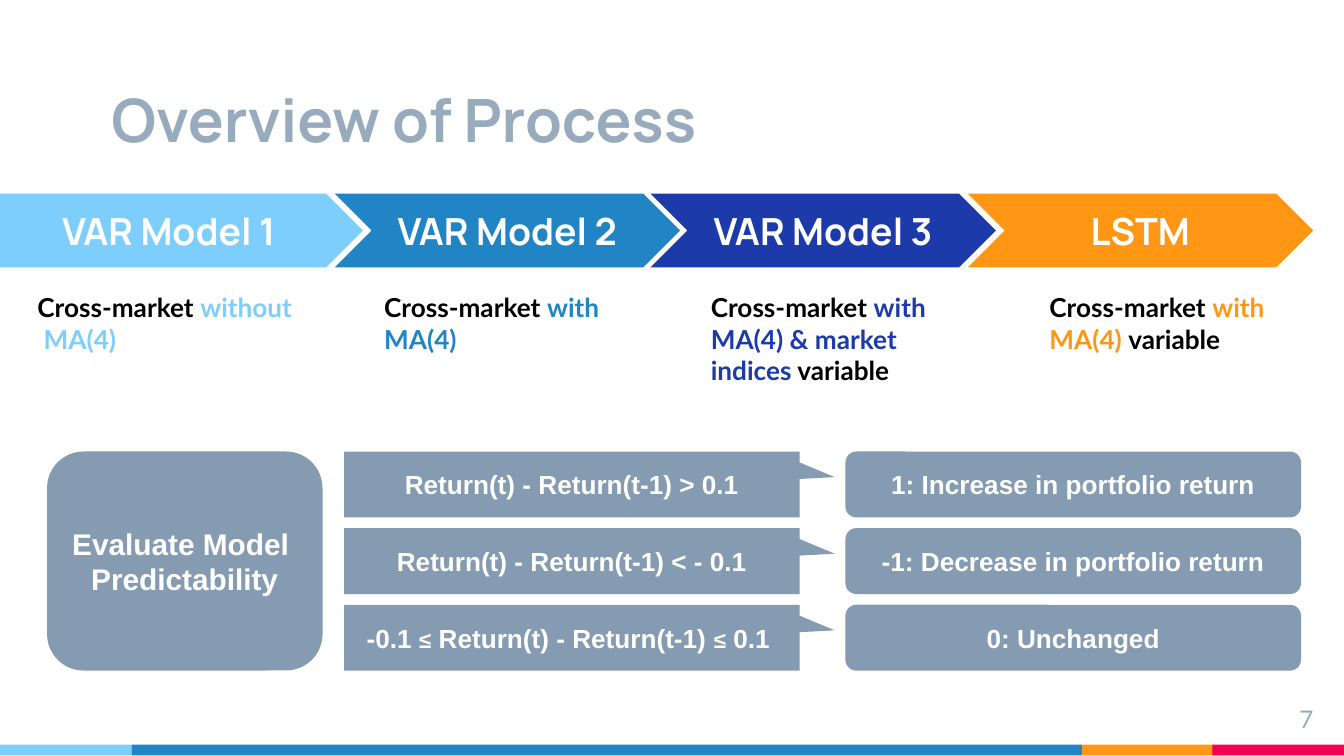
from dataclasses import dataclass

import pptx
import pptx.dml.color
import pptx.enum.shapes
import pptx.enum.text
import pptx.util

Inches = pptx.util.Inches
Pt = pptx.util.Pt
Shapes = pptx.enum.shapes.MSO_SHAPE
Align = pptx.enum.text.PP_ALIGN
Anchor = pptx.enum.text.MSO_ANCHOR

COLORS = {
    "sky": "7ECEFD",
    "blue": "2185C5",
    "navy": "1C3AA9",
    "orange": "FF9715",
    "red": "F20253",
    "slate": "849BB1",
    "gray": "97ABBC",
    "black": "000000",
    "white": "FFFFFF",
}


@dataclass
class Box:
    left: float
    top: float
    width: float
    height: float

    def lengths(self) -> list:
        return [Inches(value) for value in (self.left, self.top, self.width, self.height)]


@dataclass
class Style:
    font: str
    size: int
    color: str
    bold: bool = True
    align: Align = Align.CENTER
    anchor: Anchor = Anchor.MIDDLE


@dataclass
class Stage:
    title: str
    color: str
    arrow_left: float
    arrow_width: float
    note_left: float
    note_width: float
    emphasis: str
    ending: str = ""


@dataclass
class Rule:
    condition: str
    outcome: str


STAGES = [
    Stage("VAR Model 1", "sky", -0.05, 2.75, 0.18, 2.14, "without\n MA(4)"),
    Stage("VAR Model 2", "blue", 2.49, 2.57, 2.76, 1.88, "with \nMA(4)"),
    Stage("VAR Model 3", "navy", 4.84, 2.57, 5.19, 1.85,
          "with \nMA(4) & market indices", " variable"),
    Stage("LSTM", "orange", 7.2, 2.57, 7.71, 1.85, "with \nMA(4) ", "variable"),
]
RULES = [
    Rule("Return(t) - Return(t-1) > 0.1", "1: Increase in portfolio return"),
    Rule("Return(t) - Return(t-1) < - 0.1", "-1: Decrease in portfolio return"),
    Rule("-0.1 ≤ Return(t) - Return(t-1) ≤ 0.1 ", "0: Unchanged"),
]
FOOTER = [("sky", 0, 0.98), ("blue", 0.98, 7.07), ("orange", 8.05, 0.98), ("red", 9.02, 0.98)]

TITLE = Style("Manrope", 32, "gray", align=Align.LEFT, anchor=Anchor.BOTTOM)
ARROW = Style("Manrope", 20, "white")
NOTE = Style("Lato", 14, "black", align=Align.LEFT, anchor=Anchor.TOP)
EVALUATION = Style("Arial", 16, "white")
RULE = Style("Arial", 14, "white")
NUMBER = Style("Lato", 13, "gray", False, Align.RIGHT, Anchor.TOP)


def rgb(name: str) -> pptx.dml.color.RGBColor:
    return pptx.dml.color.RGBColor.from_string(COLORS[name])


def style_text(shape, style: Style) -> None:
    frame = shape.text_frame
    frame.word_wrap = True
    frame.vertical_anchor = style.anchor
    frame.margin_left = frame.margin_right = Inches(0.1)
    frame.margin_top = frame.margin_bottom = Inches(0.1)
    for paragraph in frame.paragraphs:
        paragraph.alignment = style.align
        paragraph.font.name = style.font
        paragraph.font.size = Pt(style.size)
        paragraph.font.bold = style.bold
        paragraph.font.color.rgb = rgb(style.color)


def add_block(slide, kind: Shapes, box: Box, color: str, adjustments: tuple = ()):
    shape = slide.shapes.add_shape(kind, *box.lengths())
    shape.shadow.inherit = False
    shape.fill.solid()
    shape.fill.fore_color.rgb = rgb(color)
    shape.line.fill.background()
    for index, value in enumerate(adjustments):
        shape.adjustments[index] = value
    return shape


def add_label(slide, box: Box, text: str, style: Style) -> None:
    shape = slide.shapes.add_textbox(*box.lengths())
    shape.text_frame.text = text
    style_text(shape, style)


def add_text_block(slide, kind: Shapes, box: Box, color: str, text: str, style: Style,
                   adjustments: tuple = ()):
    shape = add_block(slide, kind, box, color, adjustments)
    shape.text_frame.text = text
    style_text(shape, style)
    return shape


def add_note(slide, stage: Stage) -> None:
    shape = slide.shapes.add_textbox(*Box(stage.note_left, 2.07, stage.note_width, 1.13).lengths())
    paragraph = shape.text_frame.paragraphs[0]
    paragraph.space_before = Pt(8)
    paragraph.space_after = Pt(12)
    paragraph.add_run().text = "Cross-market "
    for index, line in enumerate(stage.emphasis.split("\n")):
        if index:
            paragraph.add_line_break()
        run = paragraph.add_run()
        run.text = line
        run.font.color.rgb = rgb(stage.color)
    if stage.ending:
        paragraph.add_run().text = stage.ending
    style_text(shape, NOTE)


def add_rule(slide, rule: Rule, top: float) -> None:
    callout = add_text_block(slide, Shapes.ROUNDED_RECTANGULAR_CALLOUT, Box(2.56, top, 3.39, 0.49),
                             "slate", "", RULE, (0.577, -0.112, 0))
    paragraph = callout.text_frame.paragraphs[0]
    for index, part in enumerate(rule.condition.split("≤")):
        if index:
            sign = paragraph.add_run()
            sign.text = "≤"
            sign.font.size = Pt(12)
        paragraph.add_run().text = part
    add_text_block(slide, Shapes.ROUNDED_RECTANGLE, Box(6.29, top, 3.39, 0.49),
                   "slate", rule.outcome, RULE)


def main() -> None:
    presentation = pptx.Presentation()
    presentation.slide_width = Inches(10)
    presentation.slide_height = Inches(10) * 9 // 16
    slide = presentation.slides.add_slide(presentation.slide_layouts[6])

    for color, left, width in FOOTER:
        add_block(slide, Shapes.RECTANGLE, Box(left, 5.54, width, 0.08), color)
    add_label(slide, Box(0.73, 0.31, 8.34, 0.94), "Overview of Process", TITLE)

    for index, stage in enumerate(STAGES):
        kind = Shapes.CHEVRON if index else Shapes.PENTAGON
        add_text_block(slide, kind, Box(stage.arrow_left, 1.44, stage.arrow_width, 0.55),
                       stage.color, stage.title, ARROW)
        add_note(slide, stage)

    add_text_block(slide, Shapes.ROUNDED_RECTANGLE, Box(0.35, 3.36, 2.05, 1.63), "slate",
                   "Evaluate Model \nPredictability", EVALUATION)
    for index, rule in enumerate(RULES):
        add_rule(slide, rule, 3.36 + index * 0.57)

    add_label(slide, Box(9.27, 5.14, 0.6, 0.34), "7", NUMBER)
    presentation.save("out.pptx")


if __name__ == "__main__":
    main()
